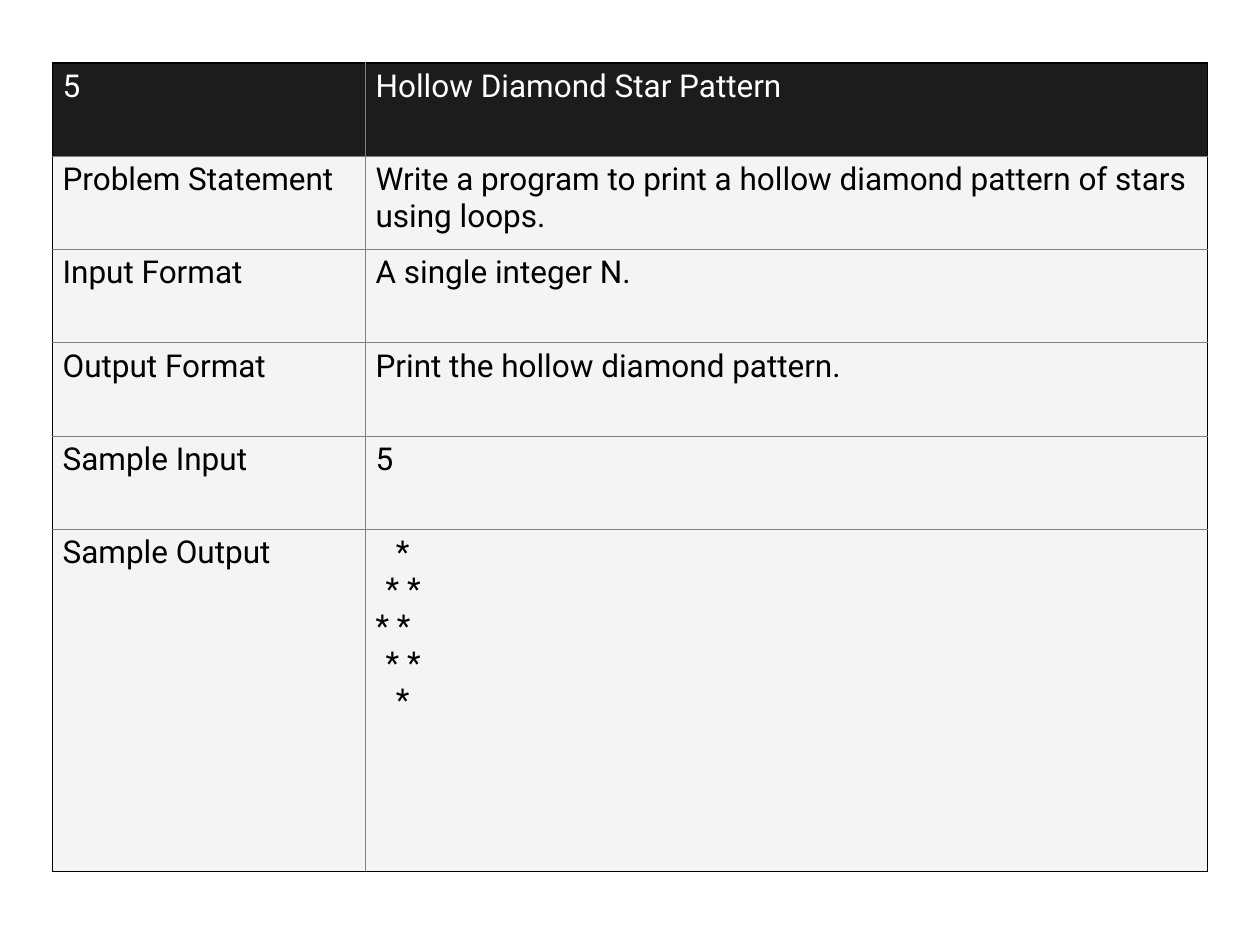
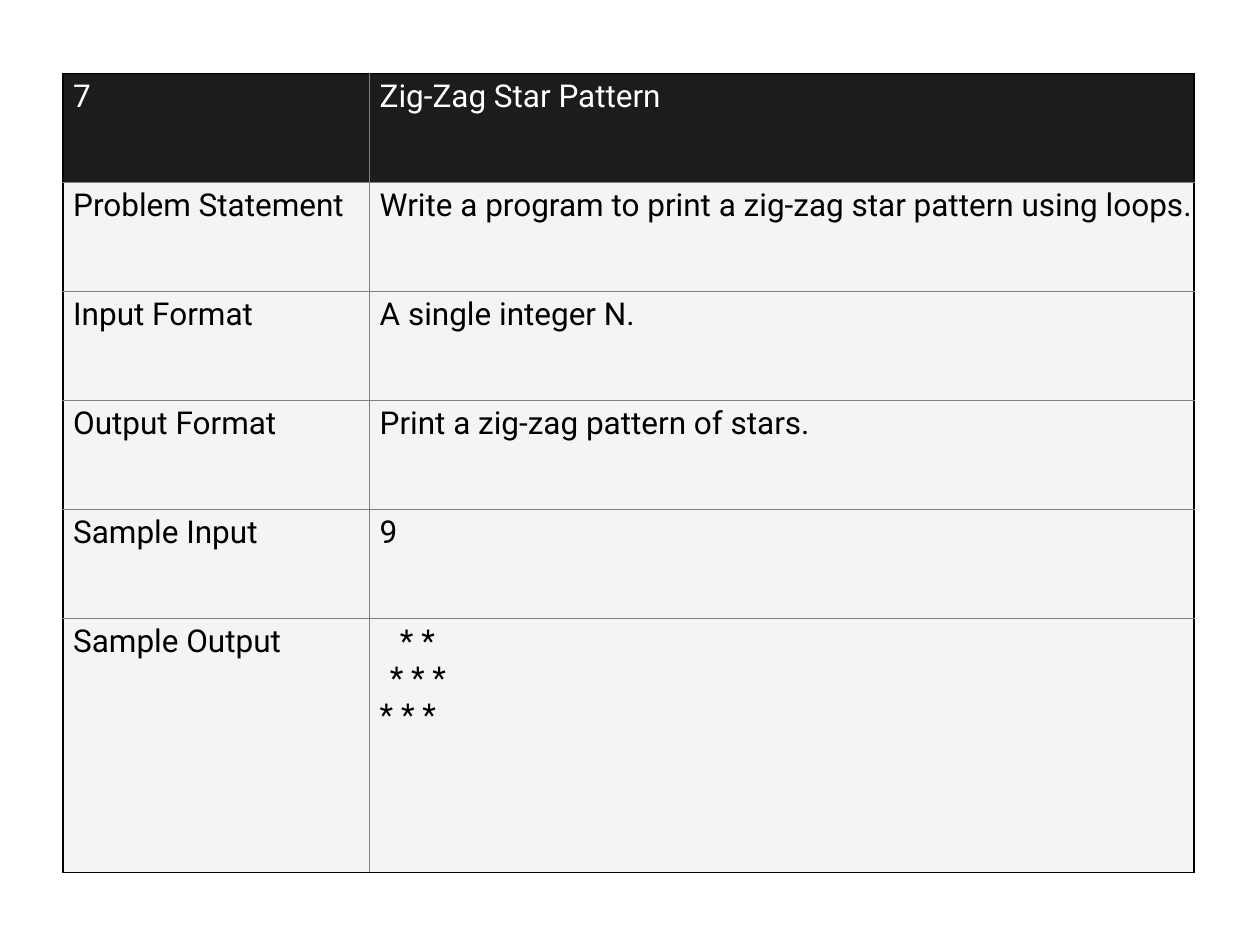
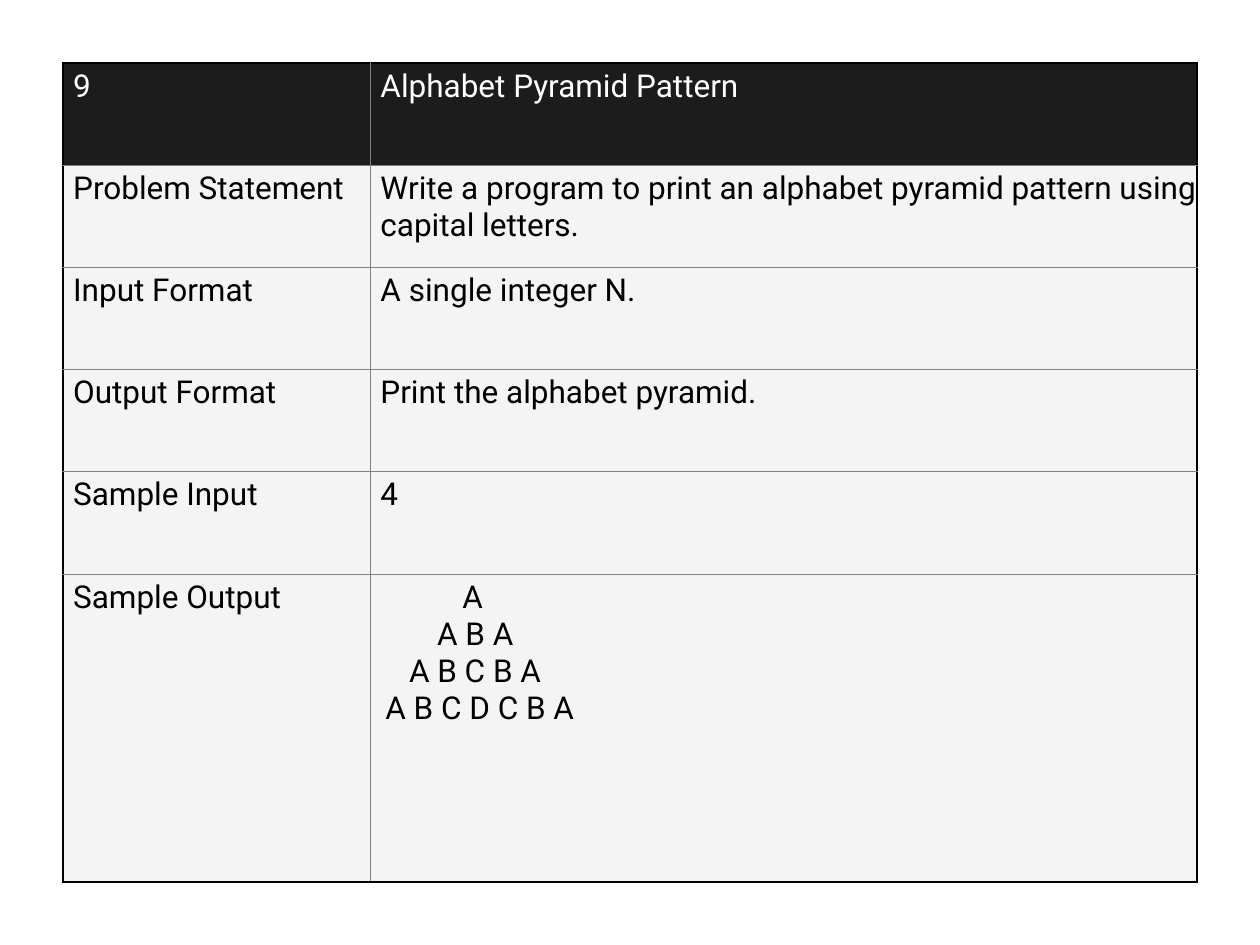
"""Build three slides that each state a pattern-printing exercise in a table."""
from dataclasses import dataclass

from lxml import etree
from pptx import Presentation
from pptx.dml.color import RGBColor
from pptx.oxml.ns import qn
from pptx.util import Pt

BLACK = RGBColor(0x00, 0x00, 0x00)
WHITE = RGBColor(0xFF, 0xFF, 0xFF)
HEADER_FILL = RGBColor(0x1C, 0x1C, 0x1C)
BODY_FILL = RGBColor(0xF4, 0xF4, 0xF4)
GRID_GRAY = RGBColor(0x80, 0x80, 0x80)

FONT = "Roboto"
FONT_SIZE = Pt(18)
INDENT = 5.8
TOP_MARGIN = Pt(2.9)
LABEL_SHARE = 0.271
OUTER_WIDTH = Pt(1)
INNER_WIDTH = Pt(0.5)
BLANK_LAYOUT = 6

LABELS = ["Problem Statement", "Input Format", "Output Format", "Sample Input", "Sample Output"]


@dataclass
class Exercise:
    """One exercise, with its table frame and its sample output as (indent, text) lines."""

    frame: tuple
    row_height: float
    number: str
    title: str
    statement: str
    output_format: str
    sample_input: str
    sample_output: list


EXERCISES = [
    Exercise(
        (30, 36, 660, 462), 53.3, "5", "Hollow Diamond Star Pattern",
        "Write a program to print a hollow diamond pattern of stars using loops.",
        "Print the hollow diamond pattern.", "5",
        [(3 * INDENT, "*"), (2 * INDENT, "* *"), (INDENT, "* *"),
         (2 * INDENT, "* *"), (3 * INDENT, "*")],
    ),
    Exercise(
        (36, 42, 646.4, 456.8), 62.3, "7", "Zig-Zag Star Pattern",
        "Write a program to print a zig-zag star pattern using loops.",
        "Print a zig-zag pattern of stars.", "9",
        [(3 * INDENT, "* *"), (2 * INDENT, "* * *"), (INDENT, "* * *")],
    ),
    Exercise(
        (36, 36, 648, 468), 58.4, "9", "Alphabet Pyramid Pattern",
        "Write a program to print an alphabet pyramid pattern using capital letters.",
        "Print the alphabet pyramid.", "4",
        [(52.6, "A"), (38.2, "A B A"), (22.1, "A B C B A"), (8.6, "A B C D C B A")],
    ),
]


def add_border(cell, side, outer):
    """Draw one side of a cell as a black frame line or a gray grid line."""
    width, color = (OUTER_WIDTH, BLACK) if outer else (INNER_WIDTH, GRID_GRAY)
    properties = cell._tc.get_or_add_tcPr()
    line = etree.SubElement(properties, qn(f"a:ln{side}"), w=str(width))
    fill = etree.SubElement(line, qn("a:solidFill"))
    etree.SubElement(fill, qn("a:srgbClr"), val=str(color))


def write_lines(cell, lines, color):
    """Write (indent, text) lines into a cell, one paragraph each."""
    cell.margin_left = cell.margin_right = cell.margin_bottom = 0
    cell.margin_top = TOP_MARGIN
    text_frame = cell.text_frame
    text_frame.text = "\n".join(text for _, text in lines)
    for paragraph, (indent, _) in zip(text_frame.paragraphs, lines):
        properties = paragraph._p.get_or_add_pPr()
        properties.set("marL", str(Pt(indent)))
        properties.set("indent", "0")
        font = paragraph.font
        font.name, font.size, font.bold = FONT, FONT_SIZE, False
        font.color.rgb = color


def add_exercise_table(slide, exercise):
    """Add the table of one exercise to a slide."""
    answers = [exercise.statement, "A single integer N.",
               exercise.output_format, exercise.sample_input]
    contents = [[(INDENT, text)] for text in [exercise.title, *answers]]
    contents.append(exercise.sample_output)
    labels = [exercise.number, *LABELS]
    last_row = len(labels) - 1

    left, top, width, height = exercise.frame
    table = slide.shapes.add_table(
        len(labels), 2, Pt(left), Pt(top), Pt(width), Pt(height)).table
    table.first_row = table.horz_banding = False
    table.columns[0].width = Pt(width * LABEL_SHARE)
    table.columns[1].width = Pt(width * (1 - LABEL_SHARE))

    for row, (label, content) in enumerate(zip(labels, contents)):
        last_height = height - last_row * exercise.row_height
        table.rows[row].height = Pt(last_height if row == last_row else exercise.row_height)
        for column, lines in enumerate([[(INDENT, label)], content]):
            cell = table.cell(row, column)
            write_lines(cell, lines, BLACK if row else WHITE)
            add_border(cell, "L", column == 0)
            add_border(cell, "R", column == 1)
            add_border(cell, "T", row == 0)
            add_border(cell, "B", row == last_row)
            cell.fill.solid()
            cell.fill.fore_color.rgb = BODY_FILL if row else HEADER_FILL


def main():
    """Build and save the presentation."""
    presentation = Presentation()
    presentation.slide_width, presentation.slide_height = Pt(720), Pt(540)
    for exercise in EXERCISES:
        slide = presentation.slides.add_slide(presentation.slide_layouts[BLANK_LAYOUT])
        add_exercise_table(slide, exercise)
    presentation.save("out.pptx")


if __name__ == "__main__":
    main()
